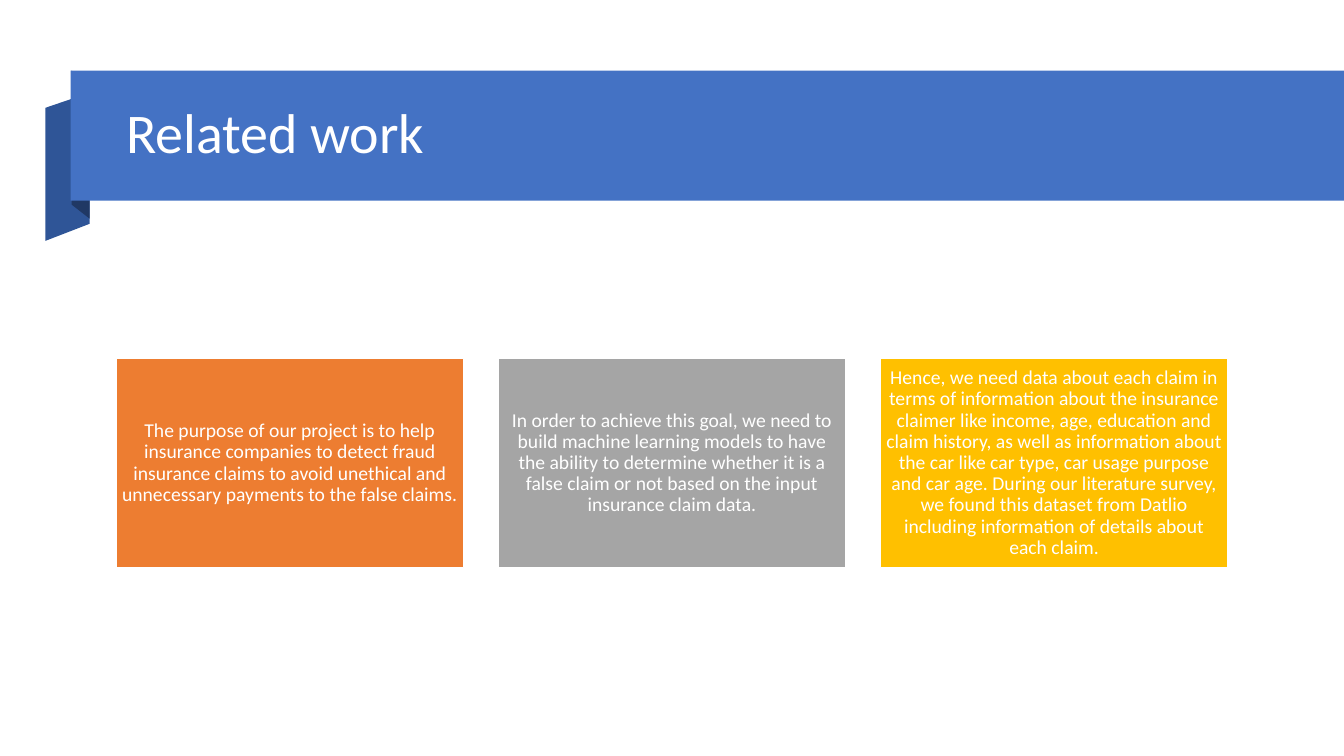
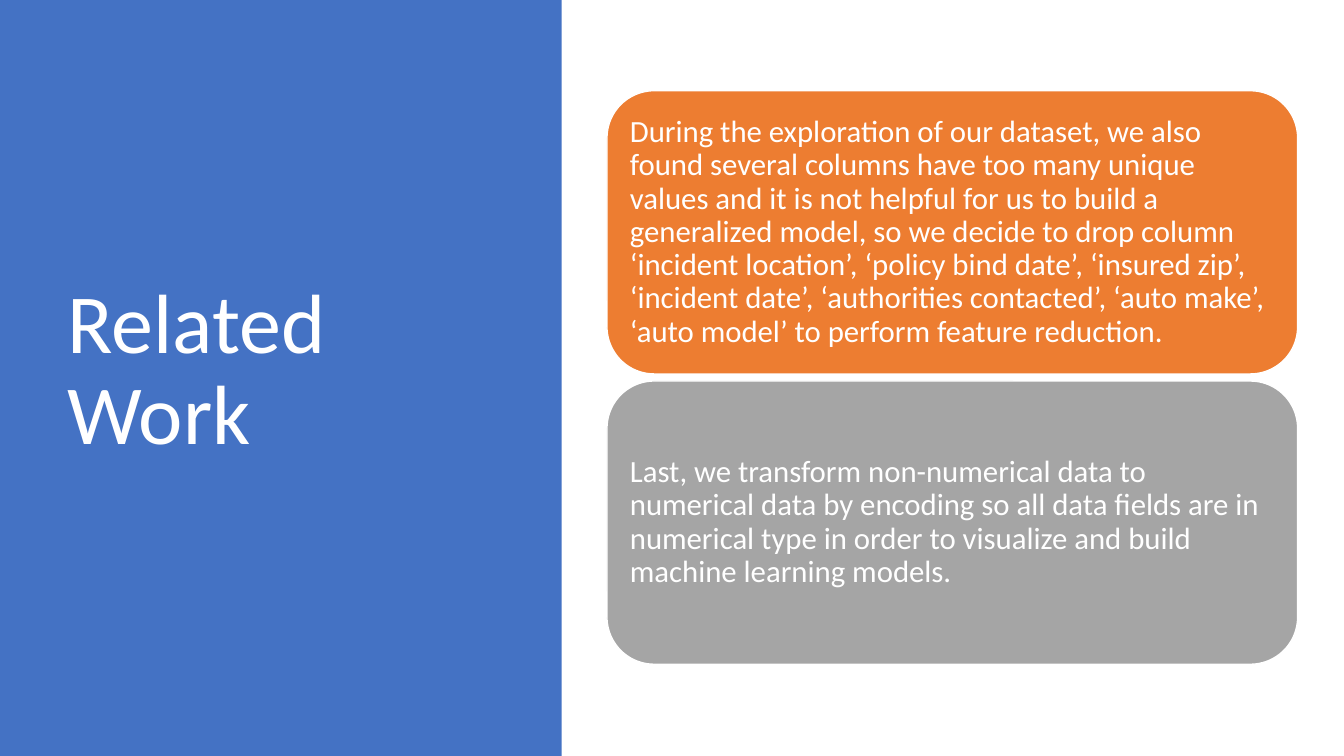
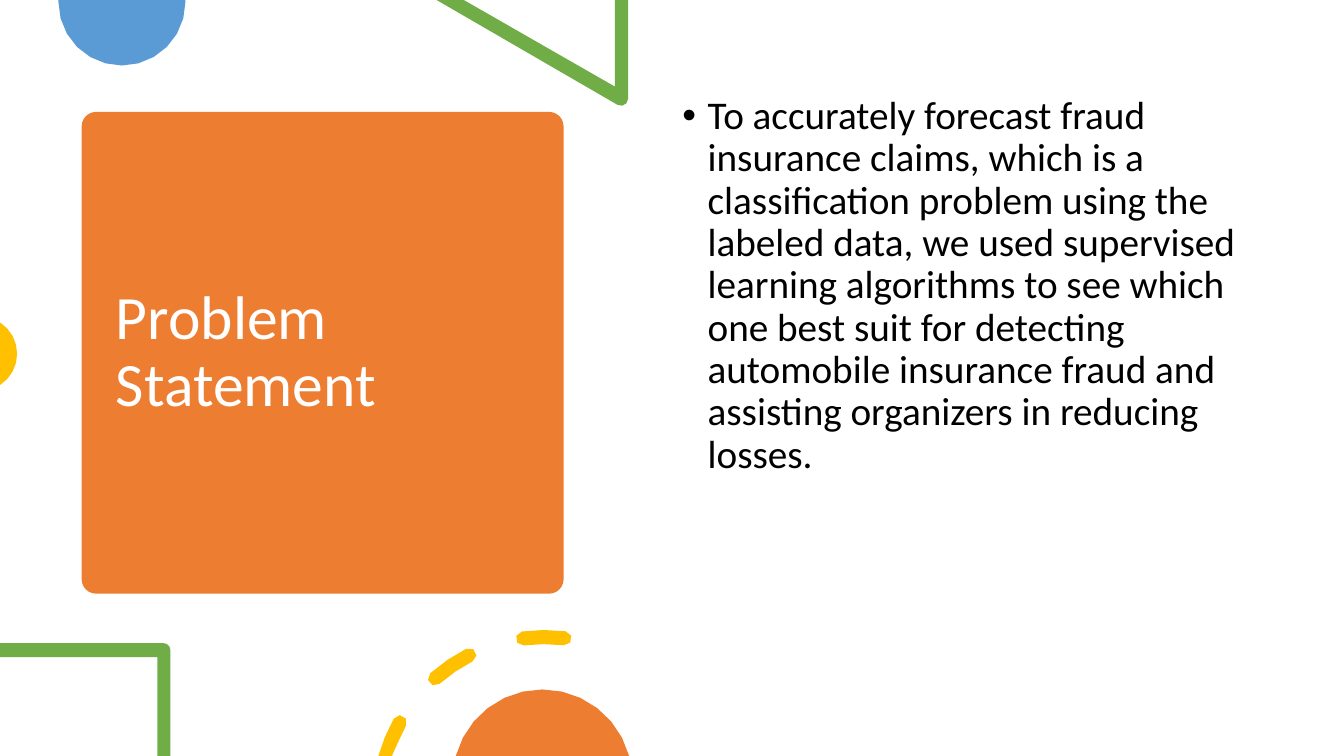
"""Build three slides on insurance fraud: two on related work, one problem statement."""
from math import cos, radians, sin

from lxml.etree import SubElement
from pptx import Presentation
from pptx.dml.color import RGBColor
from pptx.enum.shapes import MSO_SHAPE
from pptx.enum.text import MSO_ANCHOR, MSO_AUTO_SIZE, PP_ALIGN
from pptx.oxml.ns import qn
from pptx.util import Inches, Pt

WIDE, HIGH = 13.33, 7.5
FONT = "Calibri"
WHITE, BLACK = "FFFFFF", "000000"
BLUE, DEEP, NAVY, SKY = "4472C4", "2F5597", "203864", "5B9BD5"
RUST, GRAY, GOLD, GREEN = "ED7D31", "A5A5A5", "FFC000", "70AD47"
hue = RGBColor.from_string


def arc(x, y, r, start, end, steps=3):
    """Return points along a circle, clockwise from the right, kept on the slide."""
    turns = [radians(start + (end - start) * i / steps) for i in range(steps + 1)]
    spots = [(x + r * cos(t), y + r * sin(t)) for t in turns]
    return [(max(a, 0), min(max(b, 0), HIGH)) for a, b in spots]


def write(shape, text, size, color=WHITE, align=PP_ALIGN.LEFT,
          anchor=MSO_ANCHOR.MIDDLE, inset=None):
    """Put one formatted paragraph in a shape and return it."""
    frame = shape.text_frame
    frame.text = text
    style = {"word_wrap": True, "auto_size": MSO_AUTO_SIZE.NONE, "vertical_anchor": anchor}
    if inset is not None:
        sides = ("left", "top", "right", "bottom")
        style.update({f"margin_{side}": Inches(inset) for side in sides})
    for key, value in style.items():
        setattr(frame, key, value)
    para = frame.paragraphs[0]
    para.alignment, para.line_spacing = align, 0.9
    font = para.runs[0].font
    font.name, font.size, font.color.rgb = FONT, Pt(size), hue(color)
    return para


ring_x, ring_y, ring_r, half = 5.4, 7.96, 1.64, 0.07
dashes = []
for a, b in ((195.5, 209), (228.5, 243), (262.5, 277)):
    (ax, ay), (bx, by) = [
        (ring_x + ring_r * cos(radians(t)), ring_y + ring_r * sin(radians(t))) for t in (a, b)
    ]
    dashes.append(arc(ring_x, ring_y, ring_r + half, a, b, 2)
                  + arc(bx, by, half, b, b + 180)[1:-1]
                  + arc(ring_x, ring_y, ring_r - half, b, a, 2)
                  + arc(ax, ay, half, a + 180, a + 360)[1:-1])

card_w, card_h, card_step = 3.45, 2.07, 3.79
tile_h, tile_step = 2.81, 2.88
cards = [
    "The purpose of our project is to help insurance companies to detect fraud insurance claims to avoid unethical and unnecessary payments to the false claims.",
    "In order to achieve this goal, we need to build machine learning models to have the ability to determine whether it is a false claim or not based on the input insurance claim data.",
    "Hence, we need data about each claim in terms of information about the insurance claimer like income, age, education and claim history, as well as information about the car like car type, car usage purpose and car age. During our literature survey, we found this dataset from Datlio including information of details about each claim.",
]
tiles = [
    "During the exploration of our dataset, we also found several columns have too many unique values and it is not helpful for us to build a generalized model, so we decide to drop column ‘incident location’, ‘policy bind date’, ‘insured zip’, ‘incident date’, ‘authorities contacted’, ‘auto make’, ‘auto model’ to perform feature reduction.",
    "Last, we transform non-numerical data to numerical data by encoding so all data fields are in numerical type in order to visualize and build machine learning models.",
]
tints = (RUST, GRAY, GOLD)

pages = [
    {
        "title": ("Related work", 40, (1.15, 0.86, 11.27, 0.96)),
        "panel": (MSO_SHAPE.RECTANGLE, BLUE, (0.7, 0.7, WIDE - 0.7, 1.29)),
        "back": [
            (DEEP, [[(0.89, 2.22), (0.45, 2.39), (0.45, 1.07), (0.89, 0.92)]]),
            (NAVY, [[(0.89, 2.17), (0.71, 2.03), (0.71, 0.7), (0.89, 0.85)]]),
        ],
        "boxes": [(text, (1.15 + i * card_step, 3.56, card_w, card_h))
                  for i, text in enumerate(cards)],
        "form": (MSO_SHAPE.RECTANGLE, {"size": 14, "align": PP_ALIGN.CENTER, "inset": 0.06}),
    },
    {
        "title": ("Related Work", 60, (0.57, 0.68, 4.16, 6.02)),
        "panel": (MSO_SHAPE.RECTANGLE, BLUE, (0, 0, 5.57, HIGH)),
        "boxes": [(text, (6.02, 0.9 + i * tile_step, 6.85, tile_h))
                  for i, text in enumerate(tiles)],
        "form": (MSO_SHAPE.ROUNDED_RECTANGLE, {"size": 22, "inset": 0.09}),
    },
    {
        "title": ("Problem Statement", 44, (1.05, 1.22, 4.31, 4.56)),
        "panel": (MSO_SHAPE.ROUNDED_RECTANGLE, RUST, (0.81, 1.11, 4.78, 4.78)),
        "round": 0.03,
        "back": [
            (SKY, [arc(1.21, 0.02, 0.63, 0, 180, 12) + [(0.58, 0), (1.84, 0)]]),
            (GREEN, [[(6.23, 0), (6.1, 0), (6.1, 0.86), (4.6, 0), (4.33, 0)]
                     + arc(6.16, 0.98, half, 120, 0)]),
            (GOLD, [arc(-0.2, 3.51, 0.37, -57, 57, 8)]),
            (GREEN, [[(0, 6.38)] + arc(1.62, 6.45, half, 270, 360)
                     + [(1.69, HIGH), (1.56, HIGH), (1.56, 6.52), (0, 6.52)]]),
            (GOLD, dashes),
            (RUST, [arc(5.38, 7.73, 0.89, 195, 345, 12)]),
        ],
        "note": "To accurately forecast fraud insurance claims, which is a classification problem using the labeled data, we used supervised learning algorithms to see which one best suit for detecting automobile insurance fraud and assisting organizers in reducing losses.",
    },
]

deck = Presentation()
deck.slide_width, deck.slide_height = Inches(WIDE), Inches(HIGH)

for page in pages:
    slide = deck.slides.add_slide(deck.slide_layouts[5])
    shapes = slide.shapes
    paints = []

    for fill, loops in page.get("back", []):
        draft = None
        for spots in loops:
            first, *rest = [(Inches(x), Inches(y)) for x, y in spots]
            if draft:
                draft.move_to(*first)
            else:
                draft = shapes.build_freeform(*first)
            draft.add_line_segments(rest, close=True)
        paints.append((draft.convert_to_shape(), fill, None))

    kind, fill, box = page["panel"]
    panel = shapes.add_shape(kind, *map(Inches, box))
    if "round" in page:
        panel.adjustments[0] = page["round"]
    paints.append((panel, fill, None))

    text, size, box = page["title"]
    title = shapes.title
    for key, value in zip(("left", "top", "width", "height"), box):
        setattr(title, key, Inches(value))
    write(title, text, size)
    title.element.getparent().append(title.element)

    for (text, box), fill in zip(page.get("boxes", []), tints):
        kind, style = page["form"]
        block = shapes.add_shape(kind, *map(Inches, box))
        write(block, text, **style)
        paints.append((block, fill, WHITE))

    if "note" in page:
        note = shapes.add_textbox(*map(Inches, (6.67, 0.9, 5.75, 5.35)))
        para = write(note, page["note"], 28, BLACK, anchor=MSO_ANCHOR.TOP)
        para.space_before = Pt(10)
        props = para._p.get_or_add_pPr()
        props.set("marL", str(Inches(0.25)))
        props.set("indent", str(-Inches(0.25)))
        SubElement(props, qn("a:buFont")).set("typeface", "Arial")
        SubElement(props, qn("a:buChar")).set("char", "•")

    for shape, fill, edge in paints:
        shape.shadow.inherit = False
        shape.fill.solid()
        shape.fill.fore_color.rgb = hue(fill)
        if edge:
            shape.line.color.rgb, shape.line.width = hue(edge), Pt(1)
        else:
            shape.line.fill.background()

deck.save("out.pptx")
